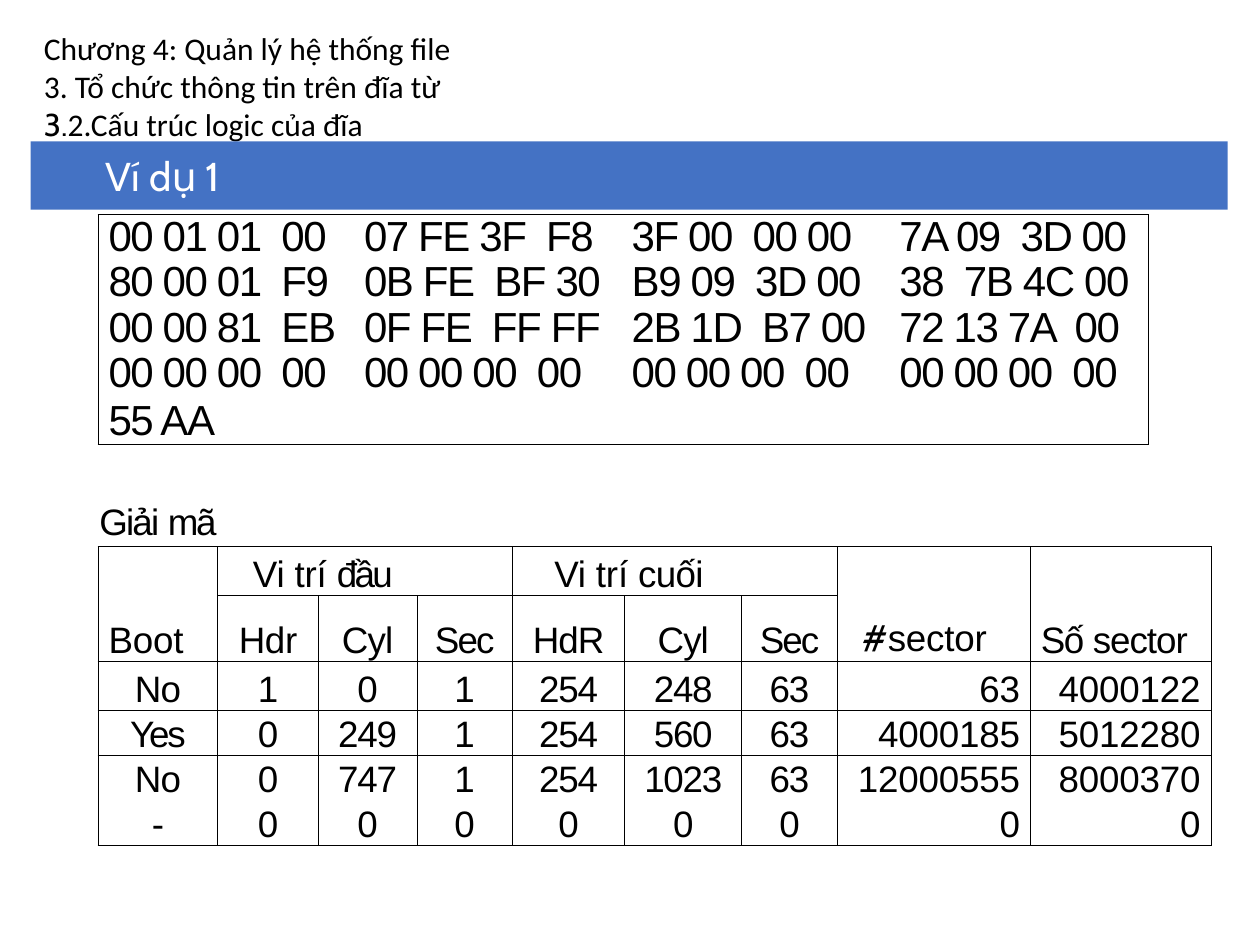
from lxml import etree
from pptx import Presentation
from pptx.dml.color import RGBColor
from pptx.enum import shapes, text
from pptx.oxml import ns
from pptx.util import Pt

BLACK = RGBColor(0, 0, 0)
WHITE = RGBColor(255, 255, 255)
BLUE = RGBColor(0x44, 0x72, 0xC4)
PLAIN_TABLE = "{2D5ABB26-0587-4C30-8999-92F81FD0307C}"
LEFT, CENTER, RIGHT = text.PP_ALIGN.LEFT, text.PP_ALIGN.CENTER, text.PP_ALIGN.RIGHT

# Content: a run is (words, overrides)
HEADING = [
    ["Chương 4: Quản lý hệ thống file"],
    ["3. Tổ chức thông tin trên đĩa từ"],
    [("3.", {"font": "Cabin"}), "2.Cấu trúc logic của đĩa"],
]
BANNER = "Ví dụ 1"
HEX_DUMP = [
    ["00 01 01  00", "07 FE 3F  F8", "3F 00  00 00", "7A 09  3D 00"],
    ["80 00 01  F9", "0B FE  BF 30", "B9 09  3D 00", "38  7B 4C 00"],
    ["00 00 81  EB", "0F FE  FF FF", "2B 1D  B7 00", "72 13 7A  00"],
    ["00 00 00  00"] * 4,
    ["55 AA", "", "", ""],
]
DECODED_LABEL = ["Giải ", ("mã", {"spacing": -1.4})]
# Header cells: row, column, rows spanned, columns spanned, runs, indent
GROUPS = [
    (0, 0, 2, 1, ["Boot"], 6),
    (0, 1, 1, 3, ["Vi trí ", ("đầu", {"spacing": -1.5})], 20),
    (0, 4, 1, 3, ["Vi trí ", ("cuối", {"spacing": -0.4})], 24),
    (0, 7, 2, 1, [("#", {"font": "Cabin"}), "sector"], 14),
    (0, 8, 2, 1, [("Số ", {"spacing": -0.9}), ("sector", {"spacing": -0.6})], 6),
]
FIELDS = ["Hdr", "Cyl", "Sec", "HdR", "Cyl", "Sec"]
PARTITIONS = [
    ["No", "1", "0", "1", "254", "248", "63", "63", "4000122"],
    ["Yes", "0", "249", "1", "254", "560", "63", "4000185", "5012280"],
    ["No", "0", "747", "1", "254", "1023", "63", "12000555", "8000370"],
    ["-"] + ["0"] * 8,
]
SPACING = {"Hdr": -0.2, "Cyl": -0.5, "Sec": -1.1, "HdR": -0.6, "No": -0.5, "Yes": -1.2}

# Geometry in points
HEX_COLUMNS = [146, 153, 153, 148]
HEX_ROWS = [26, 26, 26, 26, 27.5]
DECODED_COLUMNS = [68.5, 57.3, 56.5, 54.5, 64.3, 66.8, 54.7, 110.3, 103.2]
DECODED_ROWS = [28, 37.5, 28, 25.8, 25.8, 25.8]


def write(paragraph, runs, size=21, font="Arial", color=BLACK, spacing=0,
          align=LEFT, indent=0, line=None):
    properties = paragraph._p.get_or_add_pPr()
    properties.set("marL", str(Pt(indent)))
    properties.set("indent", "0")
    paragraph.alignment = align
    if line:
        paragraph.line_spacing = Pt(line)
    for item in runs:
        words, changes = (item, {}) if isinstance(item, str) else item
        run = paragraph.add_run()
        run.text = words
        run.font.size = Pt(size)
        run.font.name = changes.get("font", font)
        run.font.color.rgb = color
        run._r.get_or_add_rPr().set("spc", str(round(changes.get("spacing", spacing) * 100)))


def add_box(slide, left, top, width, height):
    frame = slide.shapes.add_textbox(Pt(left), Pt(top), Pt(width), Pt(height)).text_frame
    frame.word_wrap = True
    return frame


def add_grid(slide, left, top, columns, rows):
    frame = slide.shapes.add_table(len(rows), len(columns), Pt(left), Pt(top),
                                   Pt(sum(columns)), Pt(sum(rows)))
    grid = frame.table
    grid.first_row = grid.horz_banding = False
    grid._tbl.tblPr.find(ns.qn("a:tableStyleId")).text = PLAIN_TABLE
    for column, width in zip(grid.columns, columns):
        column.width = Pt(width)
    for row, height in zip(grid.rows, rows):
        row.height = Pt(height)
    return grid


def format_cell(cell, edges):
    cell.margin_left = cell.margin_right = cell.margin_top = cell.margin_bottom = 0
    cell.vertical_anchor = text.MSO_ANCHOR.BOTTOM
    for edge in "LRTB":
        if edge in edges:
            line = etree.SubElement(cell._tc.get_or_add_tcPr(), ns.qn("a:ln" + edge), w=str(Pt(0.5)))
            fill = etree.SubElement(line, ns.qn("a:solidFill"))
            etree.SubElement(fill, ns.qn("a:srgbClr"), val=str(BLACK))
    cell.fill.background()


def add_hex_dump(slide):
    grid = add_grid(slide, 56, 122.5, HEX_COLUMNS, HEX_ROWS)
    last_row, last_column = len(HEX_ROWS) - 1, len(HEX_COLUMNS) - 1
    for r, row in enumerate(HEX_DUMP):
        for c, group in enumerate(row):
            edges = (("L" if c == 0 else "") + ("R" if c == last_column else "")
                     + ("T" if r == 0 else "") + ("B" if r == last_row else ""))
            cell = grid.cell(r, c)
            format_cell(cell, edges)
            if group:
                write(cell.text_frame.paragraphs[0], [group], size=24, spacing=-0.8,
                      indent=6, line=12.4)


def add_decoded(slide):
    grid = add_grid(slide, 56, 312.3, DECODED_COLUMNS, DECODED_ROWS)
    # Two header rows
    for r, c, tall, wide, runs, indent in GROUPS:
        cell = grid.cell(r, c)
        cell.merge(grid.cell(r + tall - 1, c + wide - 1))
        format_cell(cell, "LRTB")
        write(cell.text_frame.paragraphs[0], runs, spacing=-0.1, indent=indent,
              line=12.4 if wide > 1 else None)
    for c, field in enumerate(FIELDS, 1):
        cell = grid.cell(1, c)
        format_cell(cell, "LRTB")
        write(cell.text_frame.paragraphs[0], [field], spacing=SPACING[field],
              align=CENTER, line=11.2)
    # One row per partition; only the first is ruled off
    for r, row in enumerate(PARTITIONS):
        edges = ["LRTB", "LRT", "LR", "LRB"][r]
        for c, value in enumerate(row):
            cell = grid.cell(r + 2, c)
            format_cell(cell, edges)
            numeric = c >= 7
            default = -0.1 if numeric else -0.7 if len(value) > 1 else 0
            write(cell.text_frame.paragraphs[0], [value], spacing=SPACING.get(value, default),
                  align=RIGHT if numeric else CENTER, indent=0, line=11.8)
            if numeric:
                cell.margin_right = Pt(6)


def main():
    deck = Presentation()
    deck.slide_width, deck.slide_height = Pt(720), Pt(540)
    slide = deck.slides.add_slide(deck.slide_layouts[6])

    add_hex_dump(slide)

    # Label above the decoded table
    label = add_box(slide, 54.7, 282.2, 90, 27)
    label.margin_left = label.margin_right = label.margin_bottom = 0
    label.margin_top = Pt(3)
    write(label.paragraphs[0], DECODED_LABEL, spacing=-1, indent=2)

    add_decoded(slide)

    # Chapter heading
    heading = add_box(slide, 18, 13, 688, 73)
    for i, runs in enumerate(HEADING):
        paragraph = heading.add_paragraph() if i else heading.paragraphs[0]
        write(paragraph, runs, size=18, font="Calibri")

    # Banner
    banner = slide.shapes.add_shape(shapes.MSO_SHAPE.RECTANGLE, Pt(17.5), Pt(80.8), Pt(684), Pt(39))
    banner.shadow.inherit = False
    banner.fill.solid()
    banner.fill.fore_color.rgb = BLUE
    banner.line.fill.background()
    banner.text_frame.vertical_anchor = text.MSO_ANCHOR.MIDDLE
    write(banner.text_frame.paragraphs[0], [BANNER], size=23, font="Cabin", color=WHITE, indent=36)

    deck.save("out.pptx")


if __name__ == "__main__":
    main()
